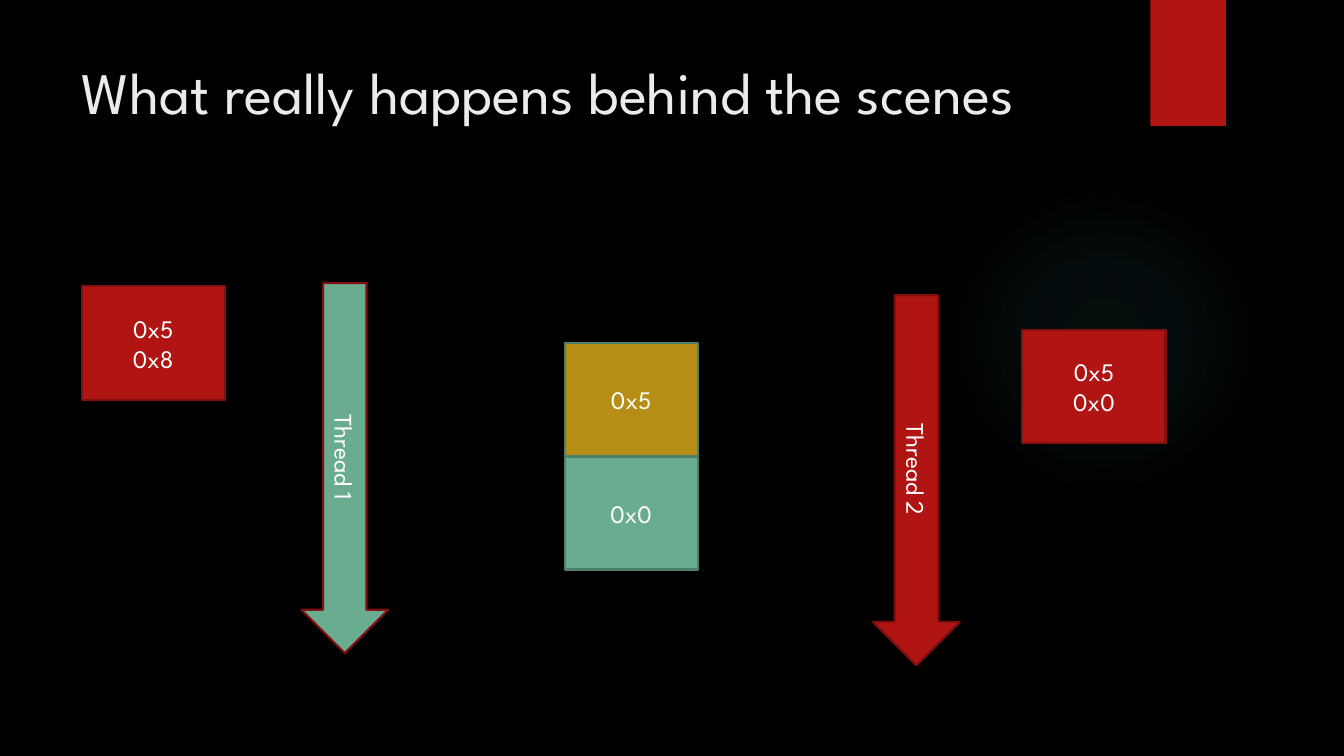
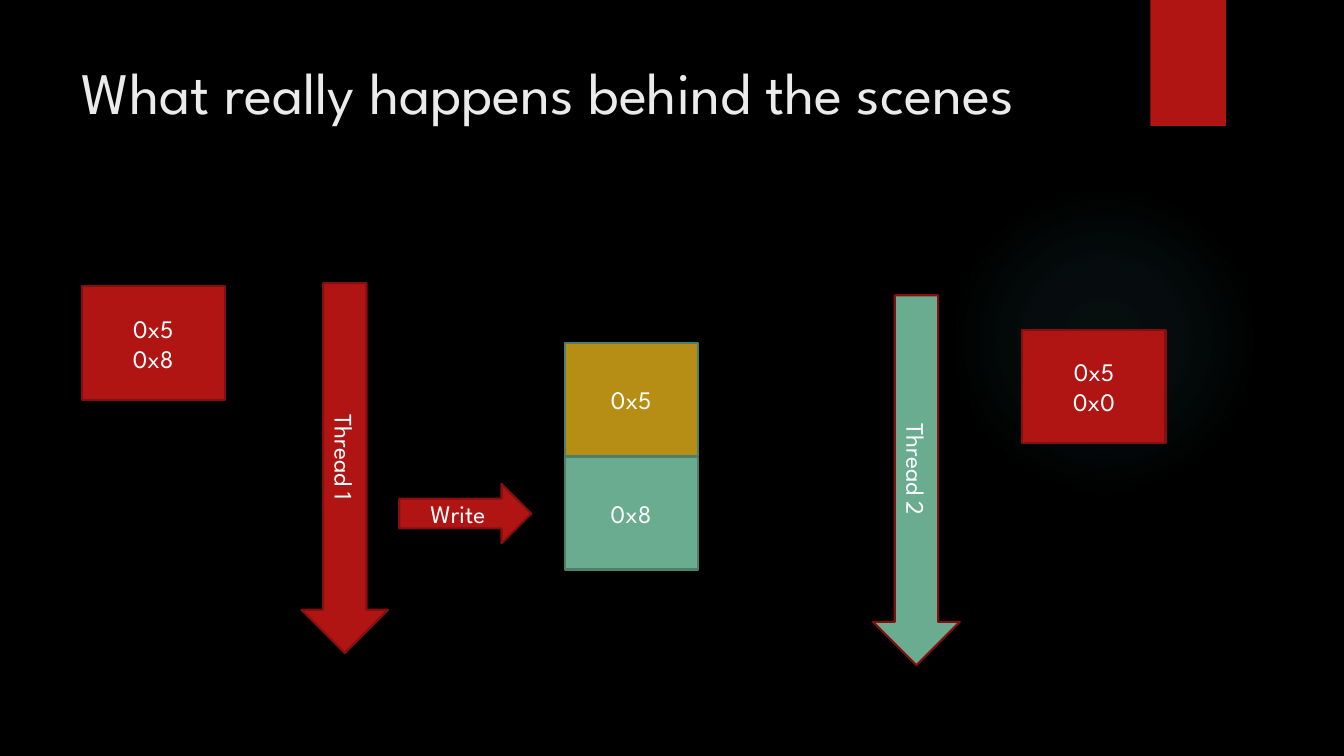
from pptx import Presentation
from pptx.dml.color import RGBColor
from pptx.enum.shapes import MSO_SHAPE
from pptx.enum.text import MSO_ANCHOR, PP_ALIGN
from pptx.oxml import parse_xml
from pptx.oxml.ns import nsdecls
from pptx.util import Inches, Pt

FONT = "League Spartan"
BLACK, WHITE, TITLE = "000000", "FFFFFF", "EBEBEB"
RED, DARK_RED = "B01513", "82100E"
GREEN, DARK_GREEN = "6AAC90", "4E7F6B"
GOLD = "B68E15"
GLOW = "50B9C1"
GLOW_STOPS = [(0, 7), (36, 6), (69, 0)]  # position and opacity, in percent


def set_text(tf, text, size=18, color=WHITE, align=PP_ALIGN.CENTER):
    """Write one paragraph for each line of text."""
    for i, line in enumerate(text.split("\n")):
        p = tf.add_paragraph() if i else tf.paragraphs[0]
        p.alignment = align
        r = p.add_run()
        r.text = line
        r.font.name, r.font.size = FONT, Pt(size)
        r.font.color.rgb = RGBColor.from_string(color)


def add_block(slide, kind, box, fill=None, line=None, text=""):
    s = slide.shapes.add_shape(kind, *[Inches(v) for v in box])
    s.shadow.inherit = False
    if fill:
        s.fill.solid()
        s.fill.fore_color.rgb = RGBColor.from_string(fill)
    if line:
        s.line.color.rgb = RGBColor.from_string(line)
        s.line.width = Pt(1.5)
    else:
        s.line.fill.background()
    if text:
        set_text(s.text_frame, text)
    return s


prs = Presentation()
prs.slide_width, prs.slide_height = Inches(13.33), Inches(7.5)

# Shared background and title position
background = prs.slide_master.background.fill
background.solid()
background.fore_color.rgb = RGBColor.from_string(BLACK)
layout = prs.slide_layouts[5]
title = layout.placeholders[0]
title.left, title.top = Inches(0.71), Inches(0.5)
title.width, title.height = Inches(10.29), Inches(1.53)
title.text_frame.vertical_anchor = MSO_ANCHOR.TOP

stops = "".join(
    f'<a:gs pos="{pos * 1000}"><a:srgbClr val="{GLOW}">'
    f'<a:alpha val="{alpha * 1000}"/></a:srgbClr></a:gs>'
    for pos, alpha in GLOW_STOPS)
glow_xml = (
    f'<a:gradFill {nsdecls("a")}><a:gsLst>{stops}</a:gsLst><a:path path="circle">'
    '<a:fillToRect l="50000" t="50000" r="50000" b="50000"/></a:path></a:gradFill>')

# Each step: colours of the two threads, value in the second memory cell, write arrow
steps = [
    (GREEN, RED, "0x0", False),
    (RED, GREEN, "0x8", True),
]

for thread1_color, thread2_color, value, writes in steps:
    slide = prs.slides.add_slide(layout)
    glow = add_block(slide, MSO_SHAPE.OVAL, (9.41, 1.83, 3.08, 3.08))
    glow._element.spPr.prstGeom.addnext(parse_xml(glow_xml))
    add_block(slide, MSO_SHAPE.RECTANGLE, (11.41, 0, 0.75, 1.25), RED)
    set_text(slide.shapes.title.text_frame, "What really happens behind the scenes",
             size=42, color=TITLE, align=PP_ALIGN.LEFT)

    threads = [("Thread 1", 2.99, 2.81, thread1_color),
               ("Thread 2", 8.66, 2.93, thread2_color)]
    for name, left, top, color in threads:
        thread = add_block(slide, MSO_SHAPE.DOWN_ARROW, (left, top, 0.86, 3.67),
                           color, DARK_RED, name)
        thread.text_frame._txBody.bodyPr.set("vert", "vert")

    for i, (cell, color) in enumerate([("0x5", GOLD), (value, GREEN)]):
        add_block(slide, MSO_SHAPE.RECTANGLE, (5.6, 3.4 + i * 1.13, 1.32, 1.12),
                  color, DARK_GREEN, cell)

    for cache, left, top in [("0x5\n0x0", 10.14, 3.27), ("0x5\n0x8", 0.81, 2.84)]:
        add_block(slide, MSO_SHAPE.RECTANGLE, (left, top, 1.42, 1.13),
                  RED, DARK_RED, cache)

    if writes:
        add_block(slide, MSO_SHAPE.RIGHT_ARROW, (3.96, 4.8, 1.31, 0.59),
                  RED, DARK_RED, "Write")

prs.save("out.pptx")
